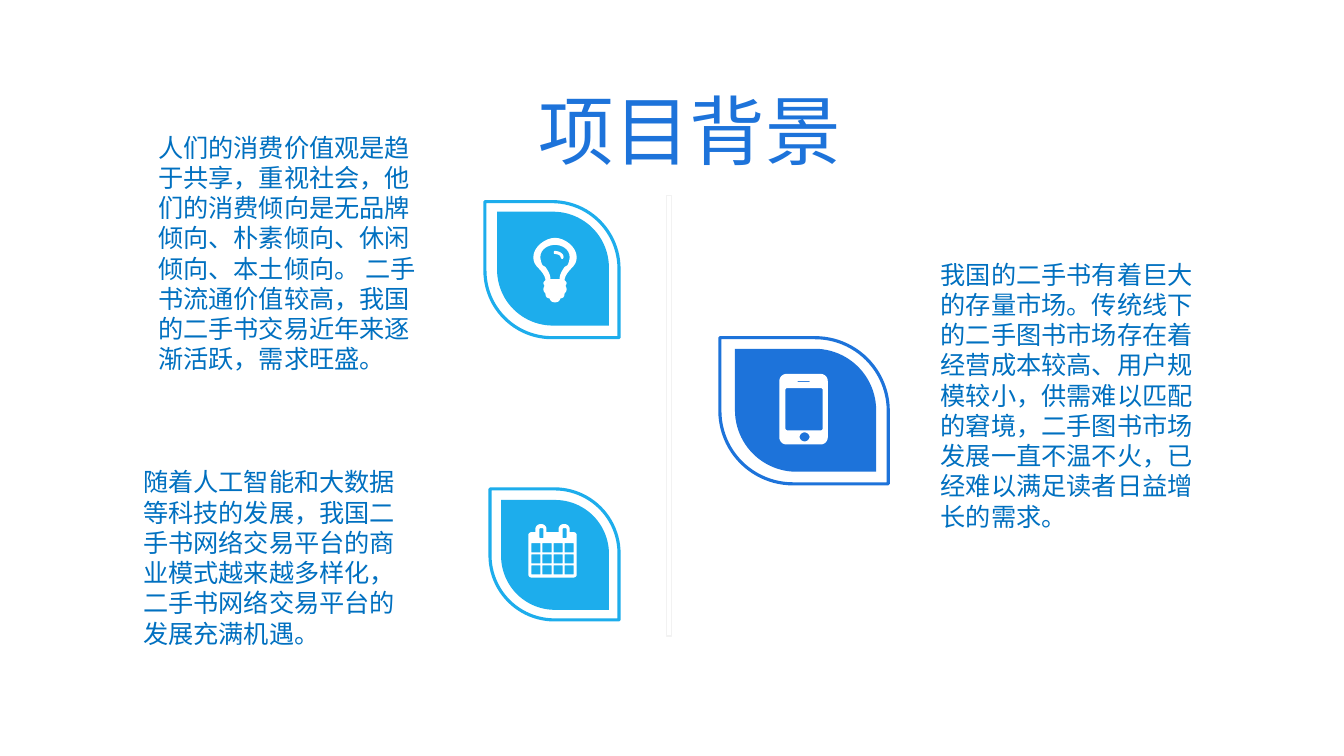
from lxml import etree
from pptx import Presentation, util as u
from pptx.dml.color import RGBColor
from pptx.enum import shapes, text
from pptx.oxml.ns import qn

COLORS = {"sky": "1DADEC", "blue": "1D73DA", "body": "0070C0",
          "white": "FFFFFF", "divider": "F2F2F2"}
FONT = "Noto Sans CJK SC"


def rgb(name):
    return RGBColor.from_string(COLORS[name])


def bezier(a, b, c, d, steps=8):
    """Points along a cubic curve, without its first point."""
    ts = [i / steps for i in range(1, steps + 1)]
    return [tuple((1 - t) ** 3 * a[i] + 3 * (1 - t) ** 2 * t * b[i]
                  + 3 * (1 - t) * t ** 2 * c[i] + t ** 3 * d[i] for i in (0, 1))
            for t in ts]


def curve(points):
    """Flatten a start point followed by triples of cubic points."""
    line = [points[0]]
    for i in range(0, len(points) - 1, 3):
        line += bezier(*points[i:i + 4])
    return line


def rounded(corners):
    """Outline with corners given as (x, y, radius), sides along the axes."""
    def toward(p, q, length):
        return tuple(p[i] + max(-length, min(length, q[i] - p[i])) for i in (0, 1))

    line = []
    for i, p in enumerate(corners):
        before, after, radius = corners[i - 1], corners[(i + 1) % len(corners)], p[2]
        start = toward(p, before, radius)
        line.append(start)
        if radius:
            line += bezier(start, toward(p, before, radius * 0.45),
                           toward(p, after, radius * 0.45), toward(p, after, radius))
    return line


def box(left, top, right, bottom, radius=0):
    return rounded([(left, top, radius), (right, top, radius),
                    (right, bottom, radius), (left, bottom, radius)])


class SlideBuilder:
    def __init__(self, s):
        self.s = s

    def paint(self, sp, fill=None, line=None, width=1):
        sp.shadow.inherit = False
        if fill:
            sp.fill.solid()
            sp.fill.fore_color.rgb = rgb(fill)
        else:
            sp.fill.background()
        if line:
            sp.line.color.rgb = rgb(line)
            sp.line.width = u.Pt(width)
        else:
            sp.line.fill.background()

    def shape(self, kind, at, **style):
        sp = self.s.shapes.add_shape(kind, *map(u.Inches, at))
        self.paint(sp, **style)
        return sp

    def leaf(self, at, **style):
        sp = self.shape(shapes.MSO_SHAPE.ROUND_2_DIAG_RECTANGLE, at, **style)
        sp.adjustments[0], sp.adjustments[1] = 0.5, 0
        sp.rotation = 270

    def icon(self, contours):
        outlines = [[(u.Inches(x), u.Inches(y)) for x, y in c] for c in contours]
        builder = self.s.shapes.build_freeform(*outlines[0][0], scale=1.0)
        for i, outline in enumerate(outlines):
            if i:
                builder.move_to(*outline[0])
            builder.add_line_segments(outline[1:], close=True)
        self.paint(builder.convert_to_shape(), fill="white")

    def set_text(self, sp, words, size, color, spacing=None, **frame):
        tf = sp.text_frame
        frame = {"word_wrap": True, "auto_size": text.MSO_AUTO_SIZE.NONE,
                 "vertical_anchor": text.MSO_ANCHOR.TOP, **frame}
        for name, value in frame.items():
            setattr(tf, name, value)
        p = tf.paragraphs[0]
        p.alignment = text.PP_ALIGN.LEFT
        if spacing:
            p.line_spacing = spacing
        r = p.add_run()
        r.text = words
        for name, value in {"size": u.Pt(size), "name": FONT}.items():
            setattr(r.font, name, value)
        r.font.color.rgb = rgb(color)
        etree.SubElement(r._r.get_or_add_rPr(), qn("a:ea")).set("typeface", FONT)

    def title(self, words, at):
        sp = self.s.shapes.title
        for name, value in zip(("left", "top", "width", "height"), at):
            setattr(sp, name, u.Inches(value))
        self.set_text(sp, words, 54, "blue", spacing=1.2,
                      auto_size=text.MSO_AUTO_SIZE.SHAPE_TO_FIT_TEXT)

    def body(self, words, at, **frame):
        sp = self.s.shapes.add_textbox(*map(u.Inches, at))
        self.set_text(sp, words, 18, "body", **frame)


def bulb():
    mid = 5.505

    def mirrored(points):
        right = curve(points)
        return right + [(2 * mid - x, y) for x, y in reversed(right)]

    glass = mirrored([
        (mid, 2.36), (5.6, 2.36), (5.72, 2.45), (5.72, 2.55),
        (5.72, 2.6), (5.7, 2.63), (5.67, 2.66), (5.64, 2.69), (5.6, 2.74), (5.6, 2.78),
        (5.61, 2.79), (5.62, 2.8), (5.62, 2.81), (5.62, 2.82), (5.61, 2.83), (5.61, 2.84),
        (5.61, 2.84), (5.62, 2.85), (5.62, 2.87), (5.62, 2.89), (5.61, 2.9), (5.6, 2.91),
        (5.6, 2.95), (5.58, 2.96), (5.56, 2.96), (5.55, 2.99), (5.53, 3), (mid, 3)])
    hollow = mirrored([
        (mid, 2.43), (5.57, 2.43), (5.65, 2.47), (5.65, 2.55),
        (5.65, 2.58), (5.64, 2.61), (5.63, 2.63), (5.62, 2.64), (5.61, 2.64), (5.6, 2.65),
        (5.57, 2.69), (5.55, 2.73), (5.55, 2.77)])
    glint = curve([
        (5.58, 2.57), (5.57, 2.57), (5.56, 2.56), (5.56, 2.55),
        (5.56, 2.53), (5.52, 2.52), (5.5, 2.52), (5.49, 2.52), (5.49, 2.49), (5.5, 2.49),
        (5.54, 2.49), (5.59, 2.51), (5.59, 2.55), (5.59, 2.56), (5.58, 2.57), (5.58, 2.57)])
    return [glass, hollow, glint]


def phone():
    return [box(7.73, 3.71, 8.21, 4.41, 0.07), box(7.79, 3.85, 8.16, 4.27, 0.02),
            box(7.91, 3.78, 8.03, 3.79), box(7.93, 4.29, 8.03, 4.38, 0.05)]


def calendar():
    tabs = (5.31, 5.54)
    outline = [(5.24, 5.73, 0.03), (5.24, 5.28, 0.03)]
    for x in tabs:
        outline += [(x, 5.28, 0), (x, 5.2, 0.05), (x + 0.11, 5.2, 0.05), (x + 0.11, 5.28, 0)]
    outline += [(5.72, 5.28, 0.03), (5.72, 5.73, 0.03)]
    slots = [box(x + 0.04, 5.24, x + 0.08, 5.34, 0.01) for x in tabs]
    days = [box(5.27 + 0.11 * col, top, 5.36 + 0.11 * col, top + 0.09)
            for top in (5.39, 5.5, 5.61) for col in range(4)]
    return [rounded(outline)] + slots + days


def main():
    prs = Presentation()
    prs.slide_width, prs.slide_height = u.Inches(13.33), u.Inches(7.5)
    b = SlideBuilder(prs.slides.add_slide(prs.slide_layouts[5]))

    # Title and central divider
    b.title("项目背景", (5.24, 0.6, 4.02, 1.15))
    b.shape(shapes.MSO_SHAPE.RECTANGLE, (6.61, 1.94, 0.05, 4.37),
            fill="white", line="divider")

    # Leaves: outer frame, inner leaf, colour, icon
    for outer, inner, color, icon in (
            ((4.8, 2.01, 1.35, 1.33), (4.92, 2.11, 1.13, 1.11), "sky", bulb),
            ((7.25, 3.24, 1.45, 1.67), (7.38, 3.37, 1.22, 1.4), "blue", phone),
            ((4.85, 4.86, 1.3, 1.28), (4.96, 4.97, 1.09, 1.07), "sky", calendar)):
        b.leaf(outer, line=color, width=2.25)
        b.leaf(inner, fill=color)
        b.icon(icon())

    # Background texts
    b.body("人们的消费价值观是趋于共享，重视社会，他们的消费倾向是无品牌倾向、朴素倾向、休闲倾向、本土倾向。 "
           "二手书流通价值较高，我国的二手书交易近年来逐渐活跃，需求旺盛。", (1.47, 1.26, 2.87, 2.66))
    b.body("随着人工智能和大数据等科技的发展，我国二手书网络交易平台的商业模式越来越多样化，"
           "二手书网络交易平台的发展充满机遇。", (1.32, 4.58, 2.72, 2.19))
    b.body("我国的二手书有着巨大的存量市场。传统线下的二手图书市场存在着经营成本较高、用户规模较小，"
           "供需难以匹配的窘境，二手图书市场发展一直不温不火，已经难以满足读者日益增长的需求。",
           (8.81, 2.37, 3.45, 3.7), vertical_anchor=text.MSO_ANCHOR.MIDDLE,
           margin_left=u.Inches(0.52), margin_right=u.Inches(0.31),
           margin_bottom=u.Inches(0.65))

    prs.save("out.pptx")


if __name__ == "__main__":
    main()
